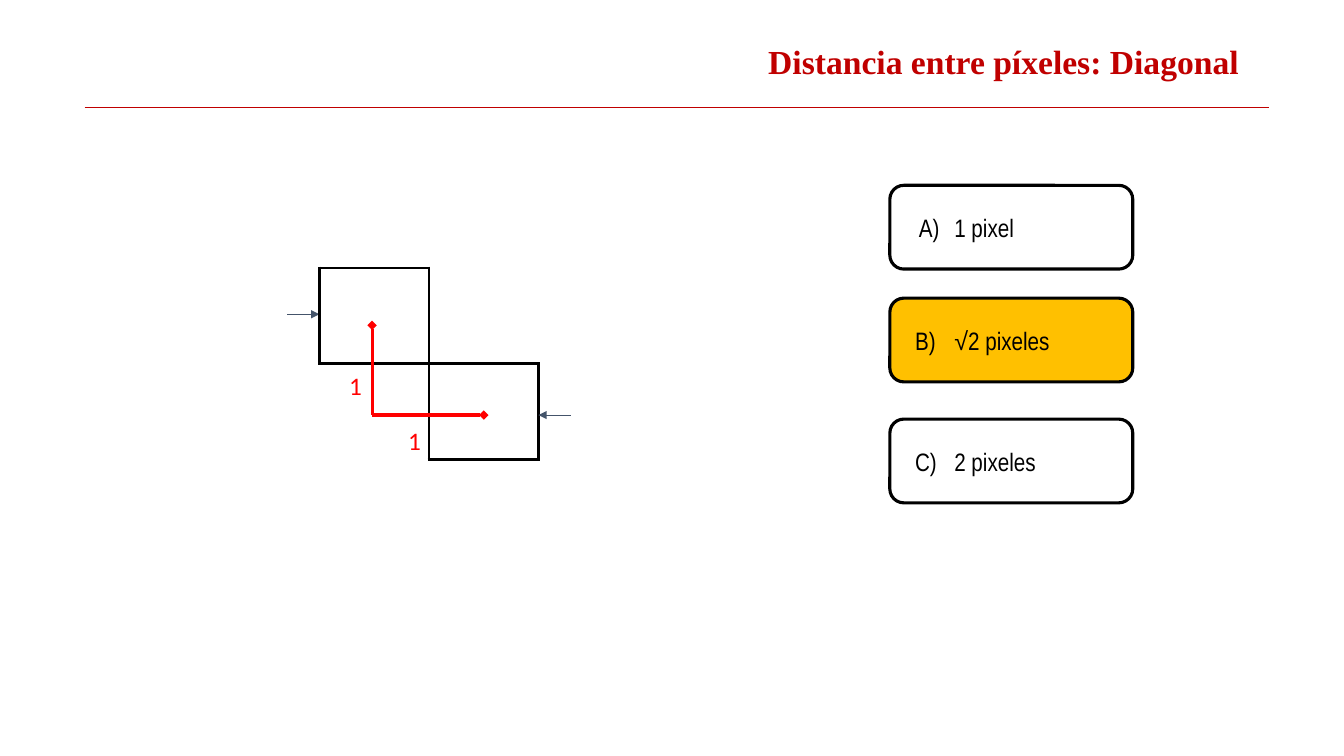
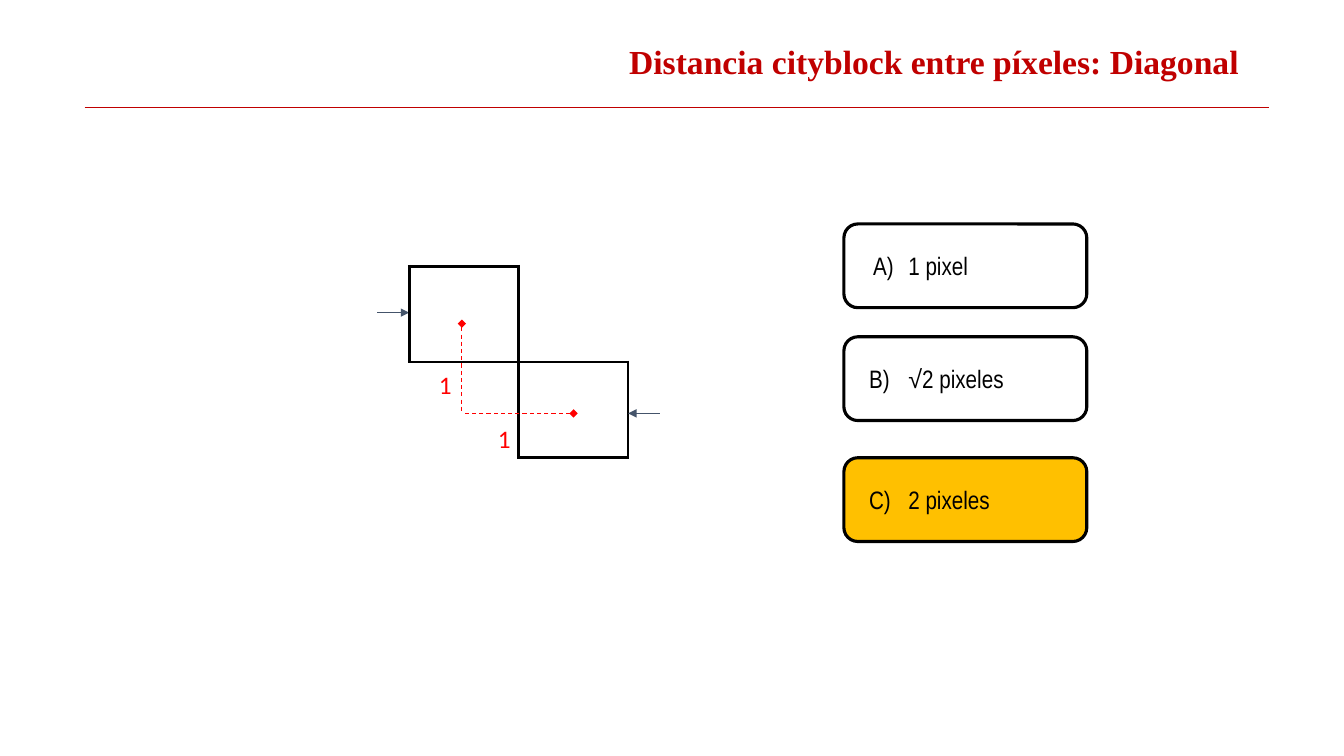
from lxml import etree
from pptx import Presentation
from pptx.dml.color import RGBColor
from pptx.enum.dml import MSO_LINE
from pptx.enum.shapes import MSO_CONNECTOR, MSO_SHAPE
from pptx.enum.text import MSO_ANCHOR, MSO_AUTO_SIZE, PP_ALIGN
from pptx.oxml.ns import qn
from pptx.util import Pt

STRAIGHT = MSO_CONNECTOR.STRAIGHT
ROUND_RECT = MSO_SHAPE.ROUNDED_RECTANGLE
MIDDLE = MSO_ANCHOR.MIDDLE
LEFT, RIGHT = PP_ALIGN.LEFT, PP_ALIGN.RIGHT
GROW = MSO_AUTO_SIZE.SHAPE_TO_FIT_TEXT
DASH = MSO_LINE.DASH

COLORS = {
    "title": "C00000",
    "ink": "000000",
    "paper": "FFFFFF",
    "answer": "FFC000",
    "pointer": "44546A",
    "route": "FF0000",
}
TITLE_FONT, OPTION_FONT, LABEL_FONT = "Times New Roman", "Arial Narrow", "Calibri"
HEAVY, THIN = 2.25, 0.75
CELL_W, CELL_H = 78.2, 68.4
OPTION_W, OPTION_H = 173.5, 59.8
OPTION_OFFSETS = (0, 80.6, 167)
OPTIONS = ("1 pixel", "B)\t√2 pixeles", "C)\t2 pixeles")
# Edges drawn on each pixel cell: the off-diagonal cells only touch the pixels.
CELL_EDGES = (("LRTB", "LB"), ("TR", "LRTB"))


def rgb(name):
    return RGBColor.from_string(COLORS[name])


def add_xml(parent, tag, **attrs):
    return etree.SubElement(parent, qn(tag), attrs)


class Deck:
    """Holds the style and the slide being built."""

    def __init__(self):
        self.prs = Presentation()
        self.prs.slide_width, self.prs.slide_height = Pt(960), Pt(540)
        self.s = None

    def new_slide(self, title, title_w):
        self.s = self.prs.slides.add_slide(self.prs.slide_layouts[6])
        tb = self.s.shapes.add_textbox(Pt(892 - title_w), Pt(26), Pt(title_w), Pt(36))
        tb.text_frame.word_wrap = True
        tb.text_frame.auto_size = GROW
        p = tb.text_frame.paragraphs[0]
        self.set_text(p, title, TITLE_FONT, 24, "title", RIGHT)
        p.font.bold = True
        self.line((60.5, 77), (906.5, 77), "title", 0.5)

    def set_text(self, p, text, font, size, color, align=LEFT):
        p.text = text
        p.alignment = align
        p.font.name, p.font.size = font, Pt(size)
        p.font.color.rgb = rgb(color)

    def line(self, start, end, color, width, dash=None, head=None, tail=None):
        cx = self.s.shapes.add_connector(STRAIGHT, *map(Pt, start + end))
        cx.line.color.rgb = rgb(color)
        cx.line.width = Pt(width)
        if dash:
            cx.line.dash_style = dash
        spPr = cx._element.spPr
        ln = spPr.find(qn("a:ln"))
        for tag, kind in (("a:headEnd", head), ("a:tailEnd", tail)):
            if kind:
                add_xml(ln, tag, type=kind)
        add_xml(spPr, "a:effectLst")

    def inset(self, tf):
        tf.word_wrap = True
        tf.margin_left = tf.margin_right = tf.margin_top = tf.margin_bottom = Pt(7.2)

    def option(self, x, y, index, is_answer):
        sp = self.s.shapes.add_shape(ROUND_RECT, Pt(x), Pt(y), Pt(OPTION_W), Pt(OPTION_H))
        sp.shadow.inherit = False
        sp.fill.solid()
        sp.fill.fore_color.rgb = rgb("answer" if is_answer else "paper")
        sp.line.color.rgb = rgb("ink")
        sp.line.width = Pt(HEAVY)
        tf = sp.text_frame
        self.inset(tf)
        tf.vertical_anchor = MIDDLE
        p = tf.paragraphs[0]
        pPr = p._p.get_or_add_pPr()
        if index == 0:
            pPr.set("marL", str(Pt(36)))
            pPr.set("indent", str(Pt(-25.2)))
            add_xml(pPr, "a:buAutoNum", type="alphaUcParenR")
        else:
            pPr.set("marL", "0")
            pPr.set("indent", str(Pt(8)))
            add_xml(pPr, "a:buNone")
            add_xml(add_xml(pPr, "a:tabLst"), "a:tab", pos=str(Pt(72)), algn="l")
        self.set_text(p, OPTIONS[index], OPTION_FONT, 18, "ink")

    def options(self, x, y, answer):
        for i, offset in enumerate(OPTION_OFFSETS):
            self.option(x, y + offset, i, i == answer)

    def pixel_table(self, x, y):
        """Draw two pixels that touch at a corner."""
        table = self.s.shapes.add_table(
            2, 2, Pt(x), Pt(y), Pt(2 * CELL_W), Pt(2 * CELL_H)).table
        table.first_row = table.horz_banding = False
        for i in range(2):
            table.columns[i].width = Pt(CELL_W)
            table.rows[i].height = Pt(CELL_H)
            for j in range(2):
                self.cell_style(table.cell(i, j), CELL_EDGES[i][j])

    def cell_style(self, cell, edges):
        tcPr = cell._tc.get_or_add_tcPr()
        for edge in "LRTB":
            ln = add_xml(tcPr, "a:ln" + edge, w=str(Pt(HEAVY)))
            if edge in edges:
                add_xml(add_xml(ln, "a:solidFill"), "a:srgbClr", val=COLORS["ink"])
            else:
                add_xml(ln, "a:noFill")
        cell.fill.background()

    def step_label(self, x, y):
        tb = self.s.shapes.add_textbox(Pt(x), Pt(y), Pt(19.4), Pt(14.4))
        self.inset(tb.text_frame)
        self.set_text(tb.text_frame.paragraphs[0], "1", LABEL_FONT, 18, "route")

    def diagram(self, x, y, route_width, dash=None):
        right, low, bend = x + 2 * CELL_W, y + 105.1, x + 37.6
        self.line((x - 23, y + 33.1), (x, y + 33.1), "pointer", THIN, tail="triangle")
        self.pixel_table(x, y)
        self.line((right, low), (right + 23, low), "pointer", THIN, head="triangle")
        for start in ((bend, y + 41), (x + 117.4, low)):
            self.line(start, (bend, low), "route", route_width, dash, head="diamond")
        self.step_label(x + 14.2, y + 66.2)
        self.step_label(x + 56.2, low)


def main():
    deck = Deck()

    deck.new_slide("Distancia entre píxeles: Diagonal", 419)
    deck.options(635.6, 132.4, answer=1)
    deck.diagram(228.2, 191.4, HEAVY)

    deck.new_slide("Distancia cityblock entre píxeles: Diagonal", 458.6)
    deck.options(602.8, 160, answer=2)
    deck.diagram(292.3, 190.2, THIN, DASH)

    deck.prs.save("out.pptx")


if __name__ == "__main__":
    main()
